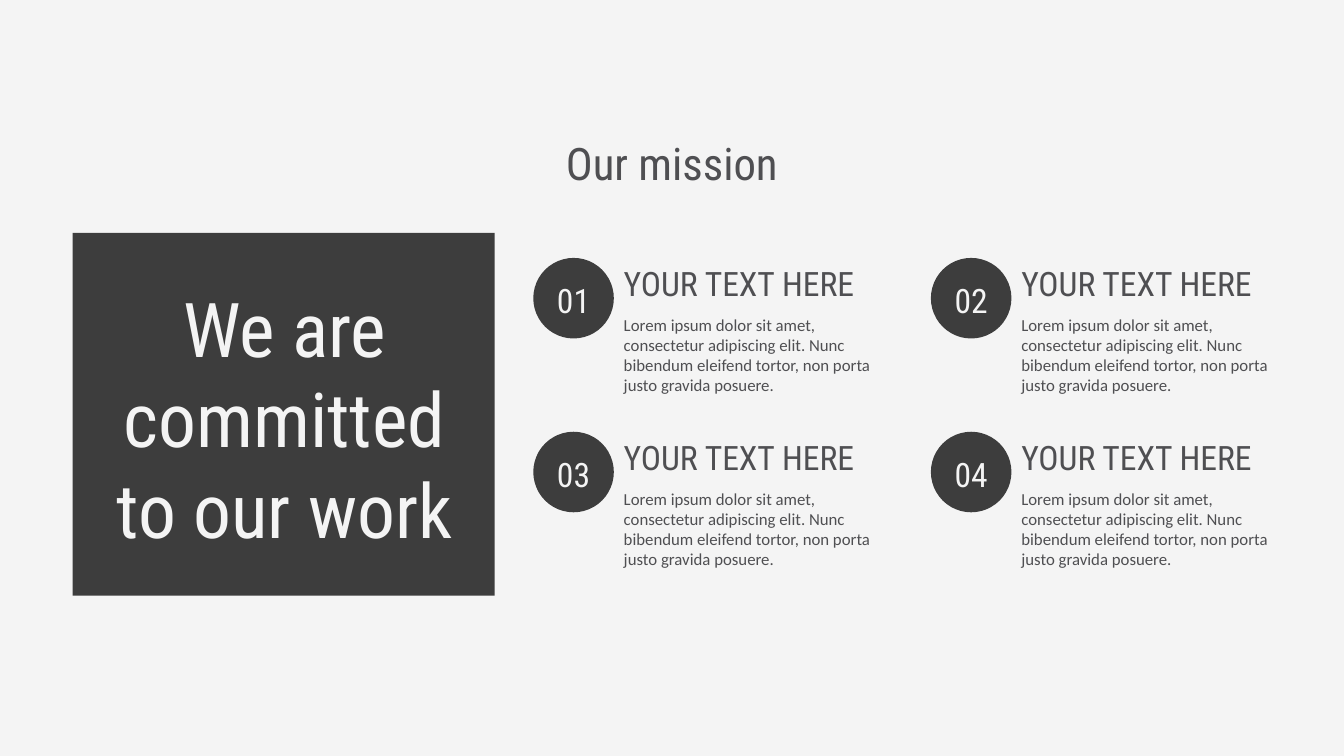
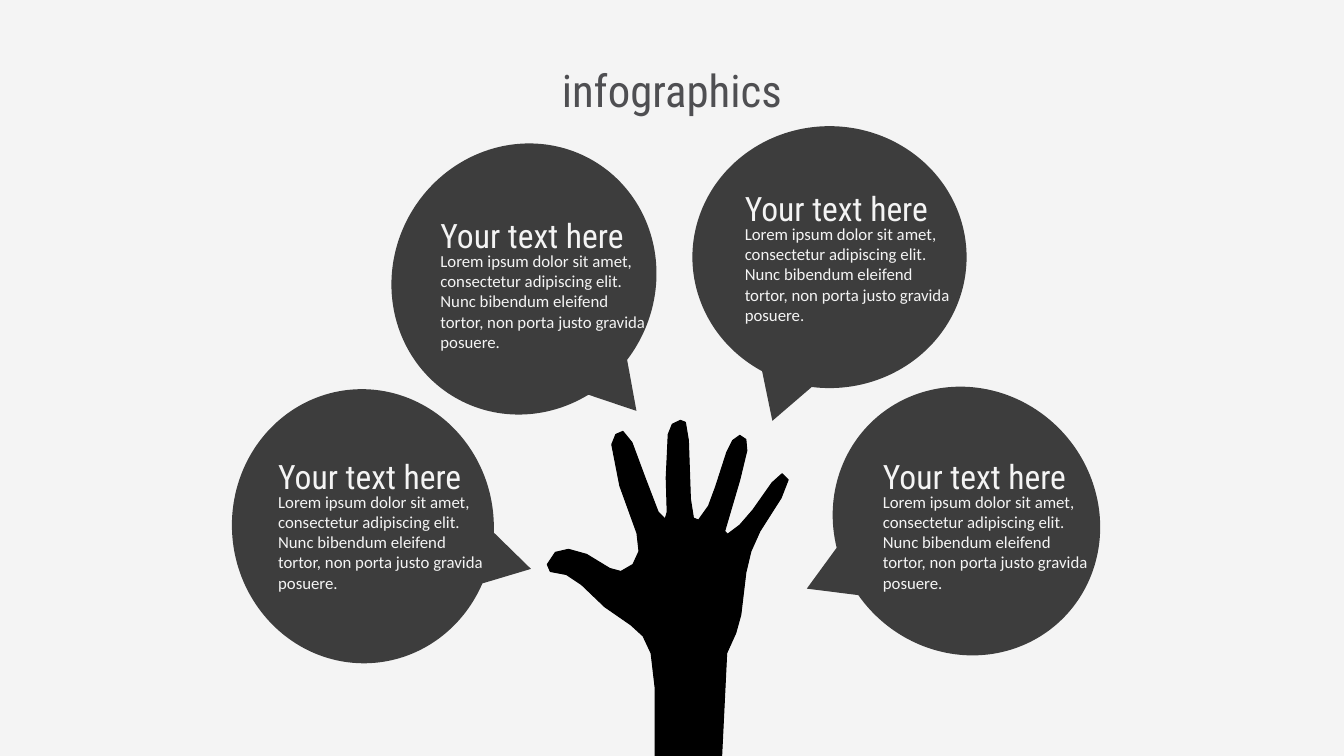
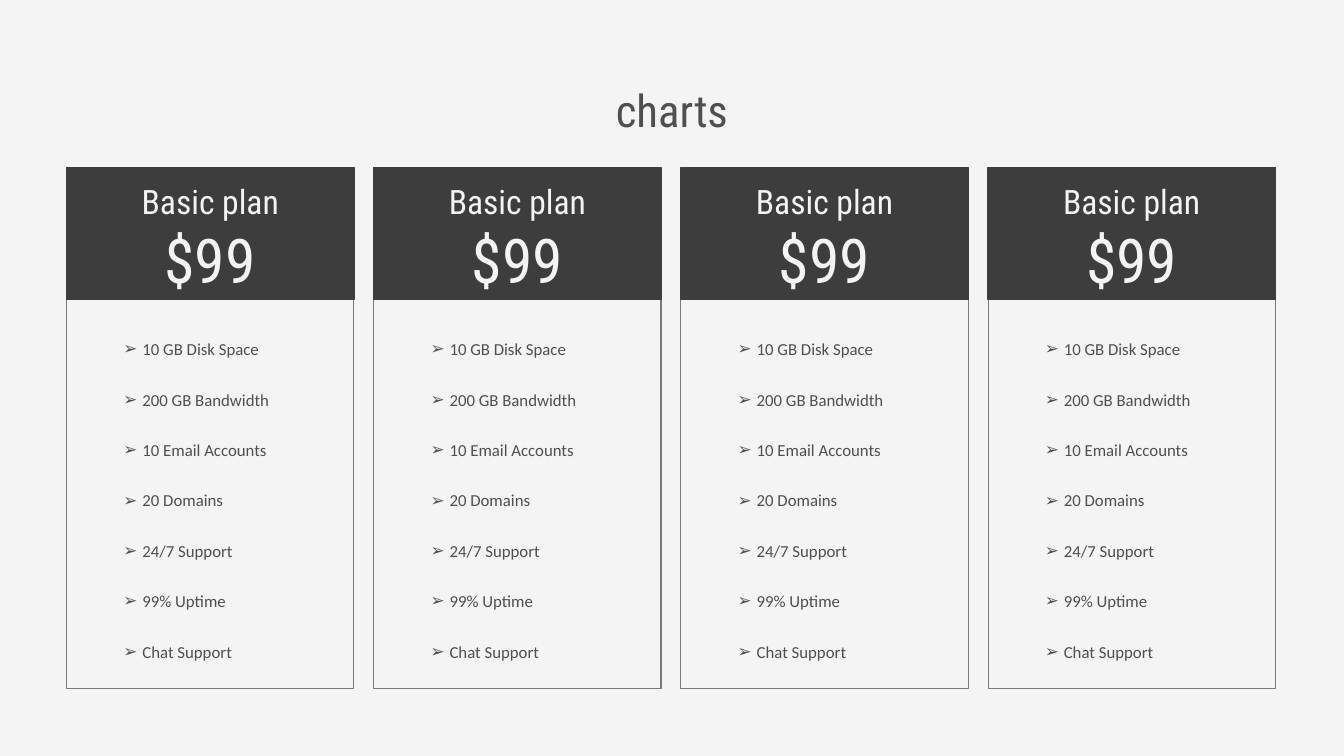
from dataclasses import dataclass

from lxml.etree import SubElement
from pptx import Presentation
from pptx.dml.color import RGBColor
from pptx.enum.shapes import MSO_SHAPE as Shape
from pptx.enum.text import MSO_ANCHOR as Anchor, MSO_AUTO_SIZE as AutoSize, PP_ALIGN as Align
from pptx.oxml.ns import qn
from pptx.util import Cm, Pt


@dataclass(frozen=True)
class Theme:
    light: RGBColor = RGBColor.from_string("F4F4F4")
    dark: RGBColor = RGBColor.from_string("3D3D3D")
    text: RGBColor = RGBColor.from_string("4F4F52")
    border: RGBColor = RGBColor.from_string("7A7A7A")
    black: RGBColor = RGBColor.from_string("000000")
    display_font: str = "Roboto Condensed"
    body_font: str = "Calibri"
    statement: int = 54
    price: int = 44
    title: int = 32
    heading: int = 24
    body: int = 12


theme = Theme()
DEFAULT_INSETS = (0.25, 0.13, 0.25, 0.13)
LOREM = ("Lorem ipsum dolor sit amet, consectetur adipiscing elit. "
         "Nunc bibendum eleifend tortor, non porta justo gravida posuere.")


def write(shape, lines, color, align=Align.LEFT, anchor=Anchor.TOP, insets=DEFAULT_INSETS):
    """Fill a shape with (text, size) lines; insets are left, top, right, bottom in cm."""
    frame = shape.text_frame
    left, top, right, bottom = map(Cm, insets)
    frame_format = {"word_wrap": True, "auto_size": AutoSize.NONE, "vertical_anchor": anchor,
                    "margin_left": left, "margin_top": top,
                    "margin_right": right, "margin_bottom": bottom}
    for name, value in frame_format.items():
        setattr(frame, name, value)
    for index, (text, size) in enumerate(lines):
        paragraph = frame.paragraphs[0] if index == 0 else frame.add_paragraph()
        paragraph.alignment = align
        run = paragraph.add_run()
        run.text = text
        family = theme.body_font if size == theme.body else theme.display_font
        for name, value in {"name": family, "size": Pt(size), "bold": False}.items():
            setattr(run.font, name, value)
        run.font.color.rgb = color


def paint(shape, fill=None, line=None, line_width=0):
    shape.shadow.inherit = False
    if fill is None:
        shape.fill.background()
    else:
        shape.fill.solid()
        shape.fill.fore_color.rgb = fill
    if line is None:
        shape.line.fill.background()
    else:
        shape.line.color.rgb = line
        shape.line.width = Pt(line_width)


presentation = Presentation()
presentation.slide_width, presentation.slide_height = Cm(33.87), Cm(19.05)
background = presentation.slide_master.background.fill
background.solid()
background.fore_color.rgb = theme.light

slides = []
for title_text, title_top in (("Our mission", 3.28), ("infographics", 1.45), ("charts", 1.96)):
    slide = presentation.slides.add_slide(presentation.slide_layouts[5])
    title = slide.shapes.title
    title_place = {"left": 11.46, "top": title_top, "width": 10.95, "height": 1.63}
    for name, value in title_place.items():
        setattr(title, name, Cm(value))
    write(title, [(title_text, theme.title)], theme.text, Align.CENTER)
    slides.append(slide)
mission, infographics, charts = (slide.shapes for slide in slides)

# Our mission: statement panel and a two by two grid of points
panel = mission.add_shape(Shape.RECTANGLE, Cm(1.83), Cm(5.87), Cm(10.64), Cm(9.14))
paint(panel, theme.dark)
write(panel, [("We are committed to our work", theme.statement)], theme.light,
      Align.CENTER, Anchor.MIDDLE, (0.9, 0.3, 0.85, 0.13))

for index in range(4):
    row, column = divmod(index, 2)
    left, top = 13.44 + column * 10.02, 6.5 + row * 4.38
    circle = mission.add_shape(Shape.OVAL, Cm(left), Cm(top), Cm(2.03), Cm(2.03))
    paint(circle, theme.dark)
    write(circle, [(f"{index + 1:02}", theme.heading)], theme.light,
          Align.CENTER, Anchor.MIDDLE, (0, 0.1, 0, 0))
    heading = mission.add_textbox(Cm(left + 2.03), Cm(top), Cm(7.37), Cm(1.27))
    write(heading, [("YOUR TEXT HERE", theme.heading)], theme.text)
    body = mission.add_textbox(Cm(left + 2.03), Cm(top + 1.3), Cm(7.37), Cm(2.31))
    write(body, [(LOREM, theme.body)], theme.text)

# infographics: raised hand with four speech bubbles
# Outline in hundredths of an inch, clockwise from the middle fingertip
HAND_UNIT = Cm(0.0254)
HAND_OUTLINE = [
    (675, 417), (680, 419), (683, 437), (685, 495), (688, 514), (693, 516), (703, 502),
    (710, 483), (721, 449), (727, 437), (734, 432), (740, 436), (741, 447), (734, 476),
    (719, 527), (722, 530), (734, 521), (747, 506), (766, 479), (776, 470), (782, 476),
    (775, 494), (754, 527), (745, 547), (740, 568), (735, 610), (730, 628), (721, 648),
    (716, 750), (650, 750), (650, 682), (646, 648), (638, 631), (626, 620), (600, 602),
    (577, 580), (562, 570), (546, 567), (543, 560), (551, 548), (564, 545), (582, 550),
    (605, 564), (616, 567), (628, 560), (634, 547), (632, 529), (615, 482), (607, 441),
    (611, 431), (618, 428), (627, 439), (640, 474), (653, 508), (660, 515), (662, 508),
    (661, 474), (663, 431), (667, 421),
]
hand_builder = infographics.build_freeform(*HAND_OUTLINE[0], scale=HAND_UNIT)
hand_builder.add_line_segments(HAND_OUTLINE[1:], close=True)
hand = hand_builder.convert_to_shape()
paint(hand, theme.black, theme.black)

# Bubble left and top, rotation, text left and top
BUBBLES = [
    (20.9, 9.83, 47.8, 22, 11.35),
    (17.45, 3.18, 0, 18.52, 4.6),
    (9.75, 3.73, 300.3, 10.85, 5.28),
    (5.69, 9.96, 265, 6.76, 11.35),
]
for left, top, rotation, text_left, text_top in BUBBLES:
    bubble = infographics.add_shape(Shape.OVAL_CALLOUT, Cm(left), Cm(top), Cm(6.91), Cm(6.6))
    bubble.rotation = rotation
    paint(bubble, theme.dark)
    body = infographics.add_textbox(Cm(text_left), Cm(text_top + 0.91), Cm(5.68), Cm(2.82))
    write(body, [(LOREM, theme.body)], theme.light)
    heading = infographics.add_textbox(Cm(text_left), Cm(text_top), Cm(5.68), Cm(1.27))
    write(heading, [("Your text here", theme.heading)], theme.light)

# charts: four equal price plans
FEATURES = ["10 GB Disk Space", "200 GB Bandwidth", "10 Email Accounts", "20 Domains",
            "24/7 Support", "99% Uptime", "Chat Support"]
for column in range(4):
    left = 1.68 + column * 7.74
    plan = charts.add_group_shape().shapes
    card = plan.add_shape(Shape.RECTANGLE, Cm(left), Cm(6.22), Cm(7.24), Cm(11.13))
    paint(card, line=theme.border)

    features = plan.add_textbox(Cm(left + 1.18), Cm(7.65), Cm(4.9), Cm(9.25))
    write(features, [(feature, theme.body) for feature in FEATURES], theme.text)
    for paragraph in features.text_frame.paragraphs:
        paragraph.line_spacing = 2.5
        properties = paragraph._p.get_or_add_pPr()
        properties.set("marL", str(Cm(0.48)))
        properties.set("indent", str(-Cm(0.48)))
        SubElement(properties, qn("a:buFont"), typeface="Arial")
        SubElement(properties, qn("a:buChar"), char="➢")

    header = plan.add_shape(Shape.RECTANGLE, Cm(left), Cm(4.22), Cm(7.24), Cm(3.33))
    paint(header, theme.dark, theme.dark, 1)
    write(header, [("Basic plan", theme.heading), ("$99", theme.price)], theme.light,
          Align.CENTER, insets=(0.25, 0.33, 0.25, 0))
    header.text_frame.paragraphs[0].space_after = Pt(1)

presentation.save("out.pptx")
